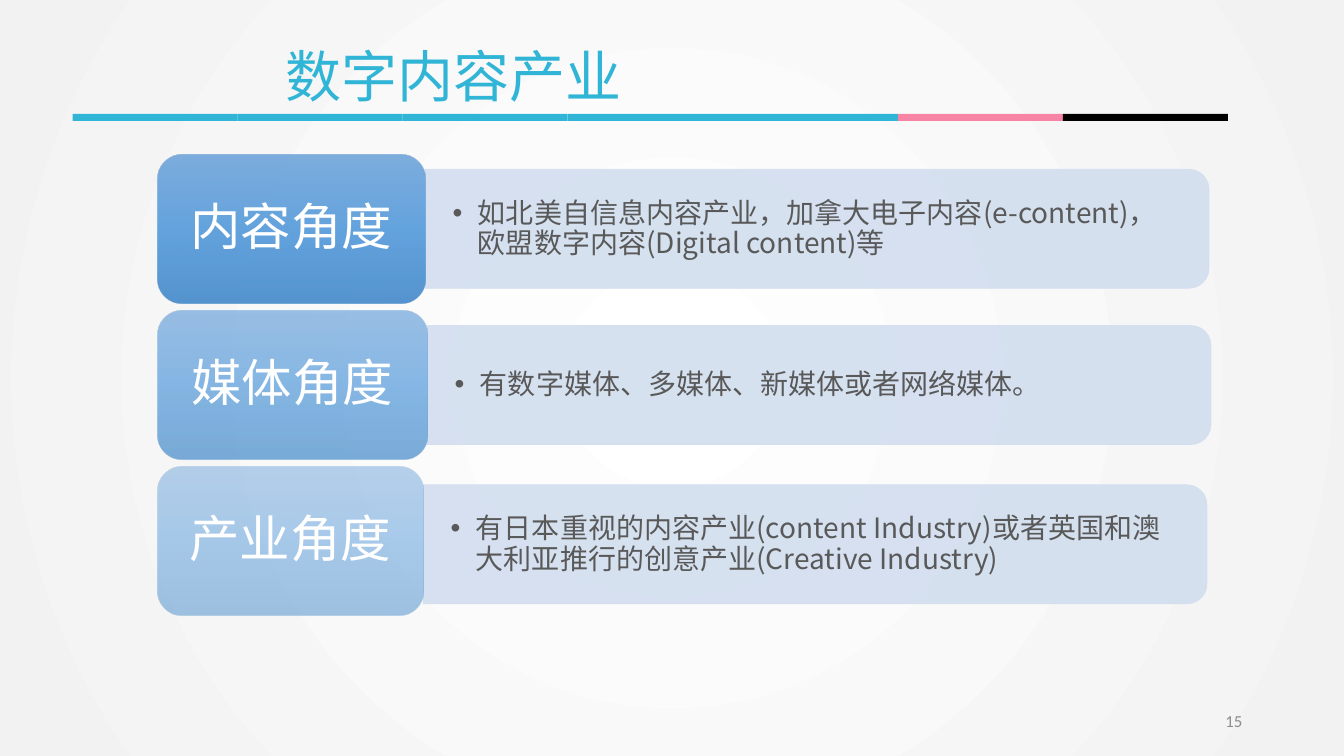
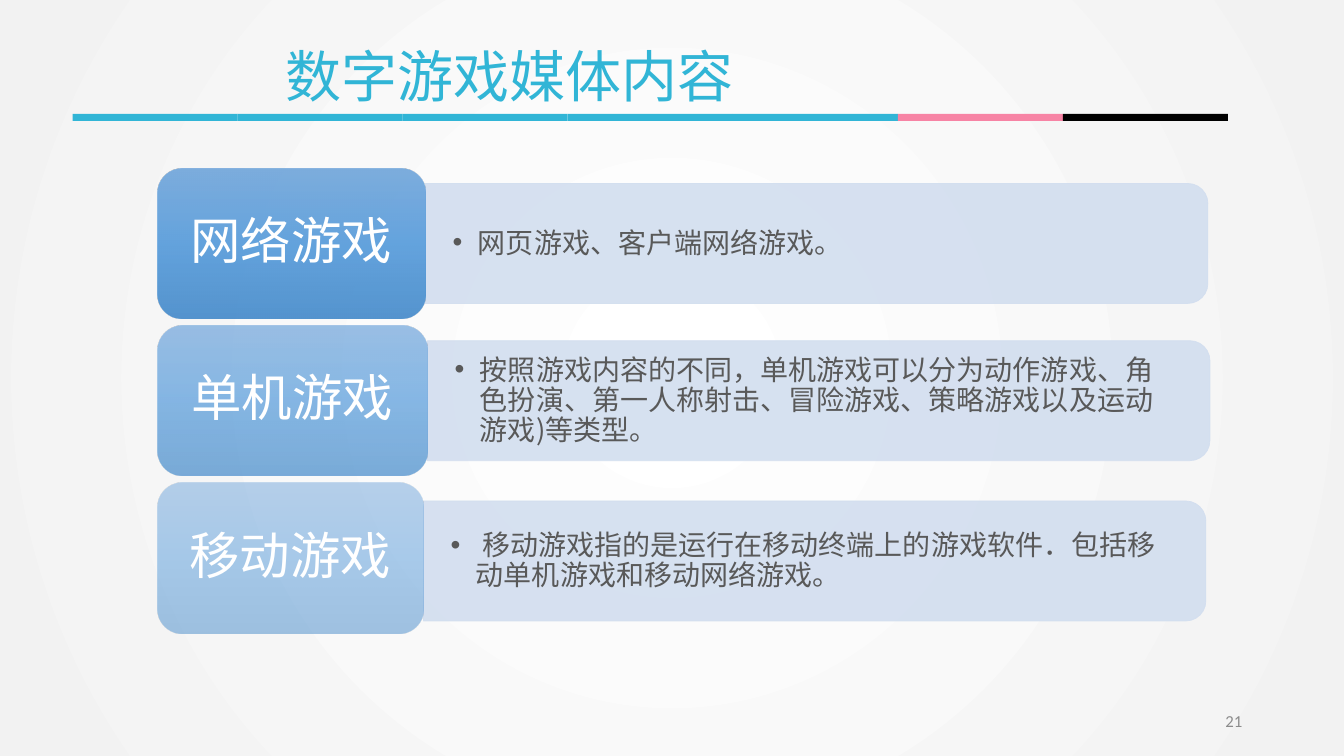
from dataclasses import dataclass

from lxml import etree
from pptx import Presentation
from pptx.dml.color import RGBColor
from pptx.dml.fill import FillFormat
from pptx.enum.shapes import MSO_SHAPE
from pptx.enum.text import MSO_ANCHOR, MSO_AUTO_SIZE, PP_ALIGN
from pptx.oxml.ns import qn
from pptx.presentation import Presentation as Deck
from pptx.shapes.autoshape import Shape
from pptx.slide import Slide
from pptx.text.text import TextFrame
from pptx.util import Inches, Pt

RECTANGLE = MSO_SHAPE.RECTANGLE
ROUNDED = MSO_SHAPE.ROUNDED_RECTANGLE
ROUNDED_TOP = MSO_SHAPE.ROUND_2_SAME_RECTANGLE
TOP, MIDDLE = MSO_ANCHOR.TOP, MSO_ANCHOR.MIDDLE
LEFT, CENTER, RIGHT = PP_ALIGN.LEFT, PP_ALIGN.CENTER, PP_ALIGN.RIGHT
FIXED, GROW = MSO_AUTO_SIZE.NONE, MSO_AUTO_SIZE.SHAPE_TO_FIT_TEXT
COMPARISON_LAYOUT = 4


@dataclass(frozen=True)
class Theme:
    """Colours, fonts and type sizes shared by every slide."""

    cyan: str = "31B5D6"
    pink: str = "F784A5"
    black: str = "000000"
    white: str = "FFFFFF"
    grey: str = "595959"
    number_grey: str = "8C8C8C"
    panel: str = "D2DEEF"
    tile: tuple[str, ...] = ("71A6DB", "559BDB", "448ACA")
    backdrop: tuple[str, ...] = ("FFFFFF", "F2F2F2")
    text_font: str = "Noto Sans CJK SC"
    number_font: str = "Calibri"
    title_size: int = 40
    label_size: int = 36
    body_size: int = 20
    number_size: int = 12


@dataclass(frozen=True)
class RowStyle:
    """Geometry and opacity that belong to one row position."""

    tile_width: float
    opacity: int
    panel_drop: float


@dataclass(frozen=True)
class Topic:
    """A tile label and the bullet beside it."""

    label: str
    detail: str


@dataclass(frozen=True)
class TopicPage:
    """The content of a slide and the size of its row grid."""

    number: int
    title: str
    top: float
    pitch: float
    tile_height: float
    panel_length: float
    panel_height: float
    topics: tuple[Topic, ...]


THEME = Theme()
BAND = (THEME.cyan,) * 5 + (THEME.pink, THEME.black)
BAND_LEFT, BAND_WIDTH = 0.72, 11.46
TILE_LEFT = 1.56
ROWS = (RowStyle(2.66, 90, 0), RowStyle(2.68, 70, 0), RowStyle(2.64, 50, 0.03))

PAGES = (
    TopicPage(15, "数字内容产业", 1.53, 1.55, 1.48, 7.77, 1.18, (
        Topic("内容角度", "如北美自信息内容产业，加拿大电子内容(e-content)，欧盟数字内容(Digital content)等"),
        Topic("媒体角度", "有数字媒体、多媒体、新媒体或者网络媒体。"),
        Topic("产业角度", "有日本重视的内容产业(content Industry)或者英国和澳大利亚推行的创意产业(Creative Industry)"),
    )),
    TopicPage(21, "数字游戏媒体内容", 1.67, 1.56, 1.49, 7.76, 1.19, (
        Topic("网络游戏", "网页游戏、客户端网络游戏。"),
        Topic("单机游戏", "按照游戏内容的不同，单机游戏可以分为动作游戏、角色扮演、第一人称射击、冒险游戏、策略游戏以及运动游戏)等类型。"),
        Topic("移动游戏", " 移动游戏指的是运行在移动终端上的游戏软件．包括移动单机游戏和移动网络游戏。"),
    )),
)


def set_opacity(element: etree._Element, percent: int) -> None:
    """Make every colour below an element partly transparent."""
    for colour in element.iter(qn("a:srgbClr")):
        etree.SubElement(colour, qn("a:alpha"), val=str(percent * 1000))


def paint_gradient(fill: FillFormat, owner: etree._Element,
                   colours: tuple[str, ...], radial: bool = False) -> None:
    """Give a fill evenly spaced stops, from top down or from the centre out."""
    fill.gradient()
    gradient = next(owner.iter(qn("a:gradFill")))
    for child in list(gradient):
        gradient.remove(child)
    stops = etree.SubElement(gradient, qn("a:gsLst"))
    for index, colour in enumerate(colours):
        position = 100000 * index // (len(colours) - 1)
        stop = etree.SubElement(stops, qn("a:gs"), pos=str(position))
        etree.SubElement(stop, qn("a:srgbClr"), val=colour)
    if radial:
        circle = etree.SubElement(gradient, qn("a:path"), path="circle")
        etree.SubElement(circle, qn("a:fillToRect"), l="50000", t="50000", r="50000", b="50000")
    else:
        etree.SubElement(gradient, qn("a:lin"), ang="5400000", scaled="0")


def place(box: Shape, left: float, top: float, width: float, height: float) -> None:
    """Move and size a placeholder in inches."""
    box.left, box.top = Inches(left), Inches(top)
    box.width, box.height = Inches(width), Inches(height)


def add_shape(page: Slide, kind: MSO_SHAPE, left: float, top: float,
              width: float, height: float) -> Shape:
    """Add a preset shape without shadow or outline."""
    shape = page.shapes.add_shape(kind, Inches(left), Inches(top), Inches(width), Inches(height))
    shape.shadow.inherit = False
    shape.line.fill.background()
    return shape


def set_frame(frame: TextFrame, anchor: MSO_ANCHOR, side: float = 0.1, edge: float = 0.05) -> None:
    """Set wrapping, anchor and margins of a text frame."""
    frame.word_wrap = True
    frame.auto_size = FIXED
    frame.vertical_anchor = anchor
    frame.margin_left = frame.margin_right = Inches(side)
    frame.margin_top = frame.margin_bottom = Inches(edge)


def write(frame: TextFrame, text: str, size: int, colour: str, align: PP_ALIGN,
          font: str = THEME.text_font, spacing: float = 1.0, bullet: bool = False) -> None:
    """Write one run into the first paragraph of a frame."""
    para = frame.paragraphs[0]
    if bullet:
        para.level = 1
        properties = para._p.get_or_add_pPr()
        properties.set("marL", str(Inches(0.25)))
        properties.set("indent", str(-Inches(0.25)))
        etree.SubElement(properties, qn("a:buChar"), char="•")
    para.alignment = align
    para.line_spacing = spacing
    para.space_before = Pt(0)
    span = para.add_run()
    span.text = text
    span.font.size = Pt(size)
    span.font.bold = False
    span.font.name = font
    span.font.color.rgb = RGBColor.from_string(colour)
    etree.SubElement(span._r.get_or_add_rPr(), qn("a:ea"), typeface=font)


def add_band(page: Slide) -> None:
    """Draw the coloured strip below the title."""
    width = BAND_WIDTH / len(BAND)
    for index, colour in enumerate(BAND):
        segment = add_shape(page, RECTANGLE, BAND_LEFT + index * width, 1.13, width, 0.07)
        segment.fill.solid()
        segment.fill.fore_color.rgb = RGBColor.from_string(colour)


def add_title(page: Slide, title: str) -> None:
    """Fill the title placeholder."""
    box = page.shapes.title
    place(box, 2.73, 0.36, 0.21 + 0.56 * len(title), 0.77)
    set_frame(box.text_frame, TOP)
    box.text_frame.word_wrap = False
    box.text_frame.auto_size = GROW
    write(box.text_frame, title, THEME.title_size, THEME.cyan, LEFT)


def add_number(page: Slide, number: int) -> None:
    """Add the page number at the lower right."""
    box = page.shapes.add_textbox(Inches(9.42), Inches(6.95), Inches(3), Inches(0.4))
    set_frame(box.text_frame, MIDDLE)
    write(box.text_frame, str(number), THEME.number_size, THEME.number_grey, RIGHT,
          THEME.number_font)


def add_panel(page: Slide, left: float, middle: float, length: float, height: float) -> None:
    """Draw a panel that is rounded on its right side only."""
    panel = add_shape(page, ROUNDED_TOP, left + (length - height) / 2, middle - length / 2,
                      height, length)
    panel.rotation = 90
    colour = RGBColor.from_string(THEME.panel)
    panel.fill.solid()
    panel.fill.fore_color.rgb = colour
    panel.line.color.rgb = colour
    panel.line.width = Pt(0.5)
    set_opacity(panel.element.spPr, 90)


def add_detail(page: Slide, box: Shape, left: float, middle: float, width: float,
               detail: str) -> None:
    """Fill a body placeholder and bring it in front of its panel."""
    page.shapes.element.append(box.element)
    place(box, left, middle - 0.53, width, 1.07)
    set_frame(box.text_frame, MIDDLE, 0.27, 0.14)
    write(box.text_frame, detail, THEME.body_size, THEME.grey, LEFT, spacing=0.9, bullet=True)


def add_tile(page: Slide, top: float, height: float, style: RowStyle, label: str) -> None:
    """Draw the gradient tile that names a row."""
    tile = add_shape(page, ROUNDED, TILE_LEFT, top, style.tile_width, height)
    paint_gradient(tile.fill, tile.element.spPr, THEME.tile)
    set_opacity(tile.element.spPr, style.opacity)
    set_frame(tile.text_frame, MIDDLE, 0.15, 0.07)
    write(tile.text_frame, label, THEME.label_size, THEME.white, CENTER, spacing=0.9)


def add_topic_page(deck: Deck, content: TopicPage) -> None:
    """Build a slide with one row for each topic."""
    page = deck.slides.add_slide(deck.slide_layouts[COMPARISON_LAYOUT])
    bodies = list(page.placeholders)[1:]
    add_band(page)
    add_title(page, content.title)
    add_number(page, content.number)
    for index, (topic, style, body) in enumerate(zip(content.topics, ROWS, bodies)):
        top = content.top + index * content.pitch
        left = TILE_LEFT + style.tile_width
        middle = top + content.tile_height / 2 + style.panel_drop
        add_panel(page, left, middle, content.panel_length, content.panel_height)
        add_detail(page, body, left, middle, content.panel_length - 0.06, topic.detail)
        add_tile(page, top, content.tile_height, style, topic.label)
    for spare in bodies[len(content.topics):]:
        page.shapes.element.remove(spare.element)


def main() -> None:
    """Build and save the deck."""
    deck = Presentation()
    deck.slide_width, deck.slide_height = Inches(13.33), Inches(7.5)
    master = deck.slide_master
    paint_gradient(master.background.fill, master.element, THEME.backdrop, radial=True)
    for content in PAGES:
        add_topic_page(deck, content)
    deck.save("out.pptx")


if __name__ == "__main__":
    main()
